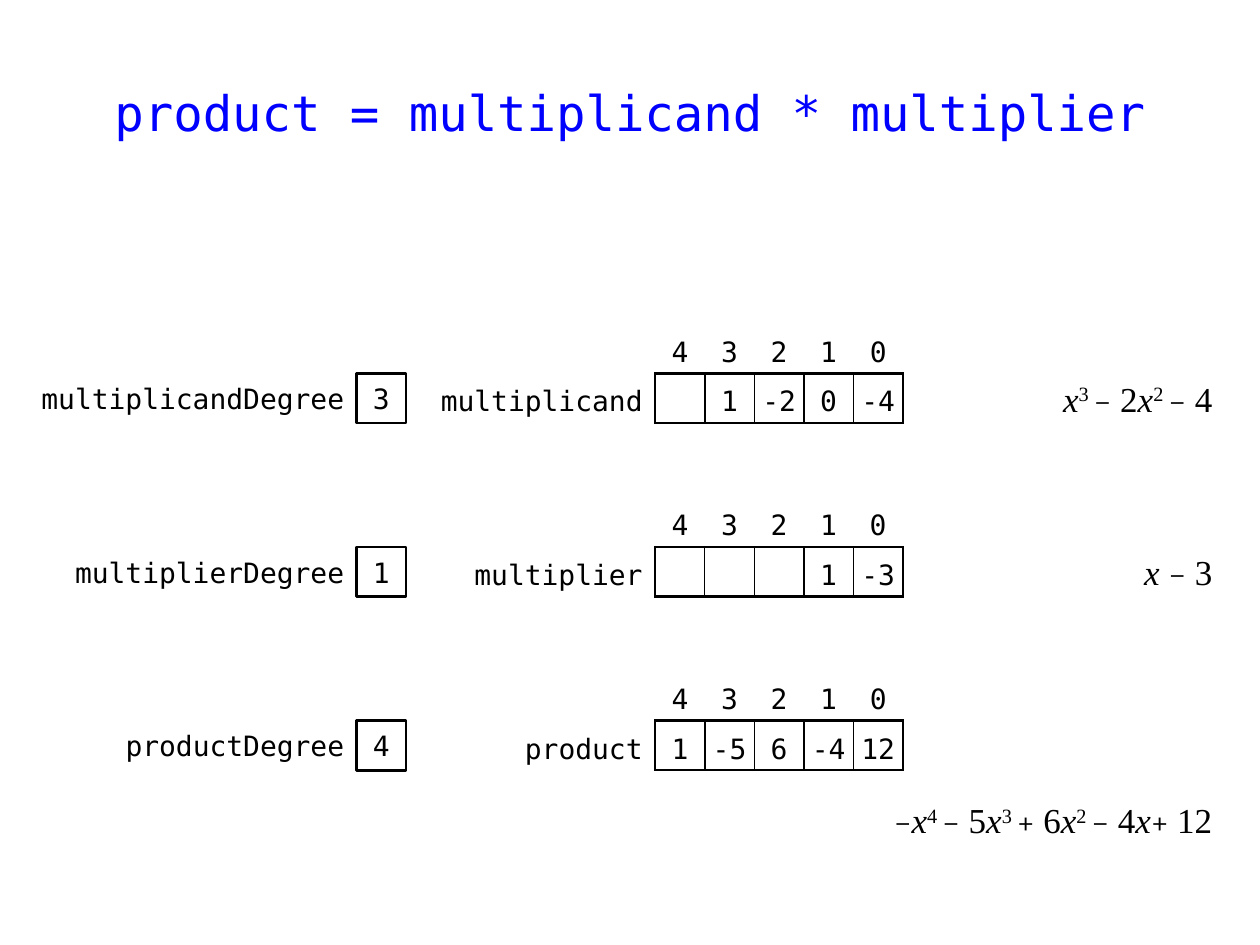
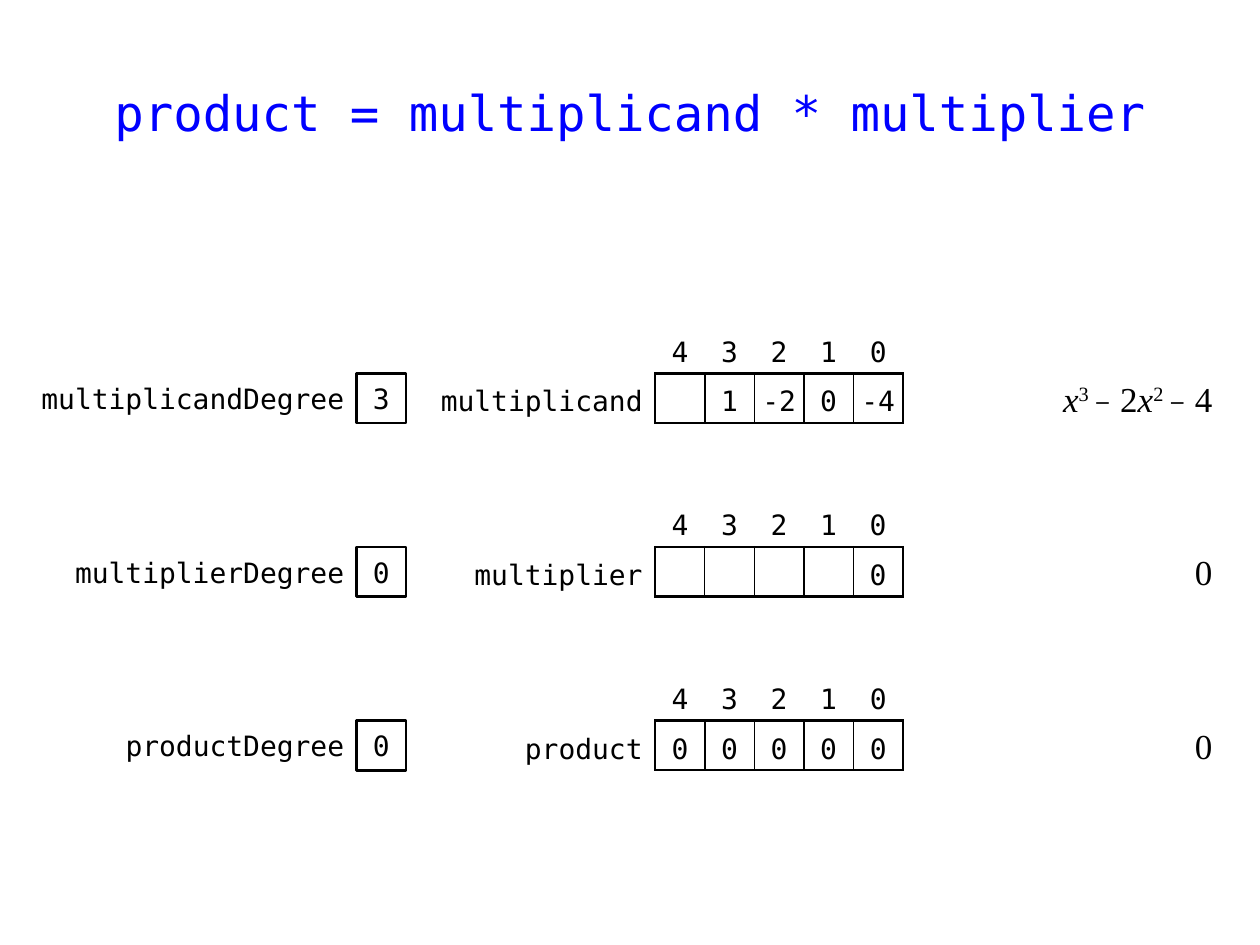
from lxml.etree import SubElement
from pptx import Presentation
from pptx.dml.color import RGBColor
from pptx.enum.shapes import MSO_SHAPE as Shape
from pptx.enum.text import MSO_ANCHOR as Anchor, PP_ALIGN as Align
from pptx.oxml import parse_xml
from pptx.oxml.ns import nsdecls, qn
from pptx.util import Inches, Pt

BLACK, WHITE, BLUE = "000000", "FFFFFF", "0000FF"
MONO, SERIF, MATH = "DejaVu Sans Mono", "Times New Roman", "Cambria"
NO_TABLE_STYLE = "{2D5ABB26-0587-4C30-8999-92F81FD0307C}"

TITLE = "product = multiplicand * multiplier"
POWERS = "43210"
CELL = 1 / 2.54          # every grid square is one centimetre
FIRST_TOP = 2.57         # top of the first power row
PITCH = 3.5 * CELL       # distance between polynomials
DEGREE_LEFT = 2.83
GRID_LEFT = 5.2
EXPRESSION_RIGHT = 9.72

# Widths of the array label and the degree label, in grid squares
LABEL_WIDTHS = {"multiplicand": (4.5, 7), "multiplier": (4, 6), "product": (3, 5)}
SUPERSCRIPTS = {"²": "2", "³": "3", "⁴": "4"}

# Each polynomial: name, degree, coefficients,
# expression, its width and its drop below the array (both in grid squares)
MULTIPLICAND = ("multiplicand", "3", ["", "1", "-2", "0", "-4"],
                "x³ − 2x² − 4", 4, 0)
PRODUCTS = [
    [MULTIPLICAND,
     ("multiplier", "1", ["", "", "", "1", "-3"], "x − 3", 2.5, 0),
     ("product", "4", ["1", "-5", "6", "-4", "12"],
      "−x⁴ − 5x³ + 6x² − 4x+ 12", 8, 1.5)],
    [MULTIPLICAND,
     ("multiplier", "0", ["", "", "", "", "0"], "0", 2.5, 0),
     ("product", "0", ["0"] * 5, "0", 2.5, 0)],
]


def rgb(hex_color):
    """Turn a hex string into a colour."""
    return RGBColor.from_string(hex_color)


def format_run(run, font, size, color=BLACK):
    """Set the typeface, size and colour of a run."""
    run.font.name = font
    run.font.size = Pt(size)
    run.font.color.rgb = rgb(color)


def add_text(slide, text, left, top, width, height, align, size=16, color=BLACK):
    """Add a vertically centred text box and return its paragraph."""
    box = slide.shapes.add_textbox(Inches(left), Inches(top),
                                   Inches(width), Inches(height))
    frame = box.text_frame
    frame.word_wrap = True
    frame.vertical_anchor = Anchor.MIDDLE
    frame.margin_top = frame.margin_bottom = 0
    line = frame.paragraphs[0]
    line.text = text
    line.alignment = align
    for run in line.runs:
        format_run(run, MONO, size, color)
    return line


def split_expression(expression):
    """Split an expression into [style, text] pieces."""
    pieces = []
    for char in expression:
        previous = pieces[-1][0] if pieces else "number"
        if char == " ":
            style = "number" if previous == "operator" else previous
        elif char in "−+":
            style = "operator"
        elif char in SUPERSCRIPTS:
            style = "exponent"
        else:
            style = "variable" if char == "x" else "number"
        char = SUPERSCRIPTS.get(char, char)
        if pieces and style == previous:
            pieces[-1][1] += char
        else:
            pieces.append([style, char])
    return pieces


def add_expression(slide, expression, top, width):
    """Add a right-aligned algebraic expression."""
    line = add_text(slide, "", EXPRESSION_RIGHT - width, top, width, CELL, Align.RIGHT)
    for style, text in split_expression(expression):
        run = line.add_run()
        run.text = text
        if style == "operator":
            format_run(run, MATH, 18)
        else:
            format_run(run, SERIF, 20)
        run.font.italic = style == "variable"
        if style == "exponent":
            run.font._element.set("baseline", "30000")


def add_degree(slide, name, degree, top, label_width):
    """Add a degree variable: its name and a box with its value."""
    add_text(slide, name + "Degree", DEGREE_LEFT - label_width, top,
             label_width, CELL, Align.RIGHT)
    box = slide.shapes.add_shape(Shape.RECTANGLE, Inches(DEGREE_LEFT), Inches(top),
                                 Inches(CELL), Inches(CELL))
    box.shadow.inherit = False
    box.fill.solid()
    box.fill.fore_color.rgb = rgb(WHITE)
    box.line.color.rgb = rgb(BLACK)
    box.line.width = Pt(1.5)
    box.text_frame.text = degree
    box.text_frame.vertical_anchor = Anchor.MIDDLE
    value = box.text_frame.paragraphs[0]
    value.alignment = Align.CENTER
    format_run(value.runs[0], MONO, 16)


def set_borders(cell, **widths):
    """Draw the given sides (L, R, T, B) of a cell, widths in points."""
    properties = cell._tc.get_or_add_tcPr()
    drawn = [side for side in "LRTB" if side in widths]
    for index, side in enumerate(drawn):
        border = parse_xml(f"<a:ln{side} {nsdecls('a')}/>")
        border.set("w", str(Pt(widths[side])))
        fill = SubElement(border, qn("a:solidFill"))
        SubElement(fill, qn("a:srgbClr")).set("val", BLACK)
        properties.insert(index, border)


def fill_cell(cell, text, align=Align.CENTER, left=0, right=0):
    """Write the text of a table cell."""
    cell.fill.background()
    cell.vertical_anchor = Anchor.MIDDLE
    cell.margin_left, cell.margin_right = Inches(left), Inches(right)
    cell.margin_top = cell.margin_bottom = 0
    line = cell.text_frame.paragraphs[0]
    line.alignment = align
    line.line_spacing = 1.25
    if text:
        line.text = text
        format_run(line.runs[0], MONO, 16)


def add_array(slide, name, coefficients, top, label_width):
    """Add a coefficient array with its name and the powers above it."""
    count = len(coefficients)
    frame = slide.shapes.add_table(2, count + 1, Inches(GRID_LEFT - label_width),
                                   Inches(top), Inches(label_width + count * CELL),
                                   Inches(2 * CELL))
    table = frame.table
    table.first_row = table.horz_banding = False
    table._tbl.tblPr.find(qn("a:tableStyleId")).text = NO_TABLE_STYLE
    for row in table.rows:
        row.height = Inches(CELL)
    for column in table.columns:
        column.width = Inches(CELL)
    table.columns[0].width = Inches(label_width)

    fill_cell(table.cell(0, 0), "")
    fill_cell(table.cell(1, 0), name, Align.RIGHT, 0.04, 0.1)
    set_borders(table.cell(1, 0), R=1.5)
    for column, (power, value) in enumerate(zip(POWERS, coefficients), 1):
        fill_cell(table.cell(0, column), power)
        fill_cell(table.cell(1, column), value)
        set_borders(table.cell(1, column), L=1.5 if column == 1 else 1,
                    R=1.5 if column == count else 1, T=1.5, B=1.5)


def add_polynomial(slide, index, polynomial):
    """Add one polynomial: degree, coefficient array and expression."""
    name, degree, coefficients, expression, width, drop = polynomial
    array_label, degree_label = LABEL_WIDTHS[name]
    top = FIRST_TOP + index * PITCH
    value_top = top + CELL
    add_array(slide, name, coefficients, top, array_label * CELL)
    add_degree(slide, name, degree, value_top, degree_label * CELL)
    add_expression(slide, expression, value_top + drop * CELL, width * CELL)


def main():
    """Build one slide for each multiplication."""
    deck = Presentation()
    deck.slide_width, deck.slide_height = Inches(10), Inches(7.5)
    for polynomials in PRODUCTS:
        slide = deck.slides.add_slide(deck.slide_layouts[6])
        add_text(slide, TITLE, 0.47, 0.4, 9.06, 0.98, Align.CENTER, 28, BLUE)
        for index, polynomial in enumerate(polynomials):
            add_polynomial(slide, index, polynomial)
    deck.save("out.pptx")


main()
